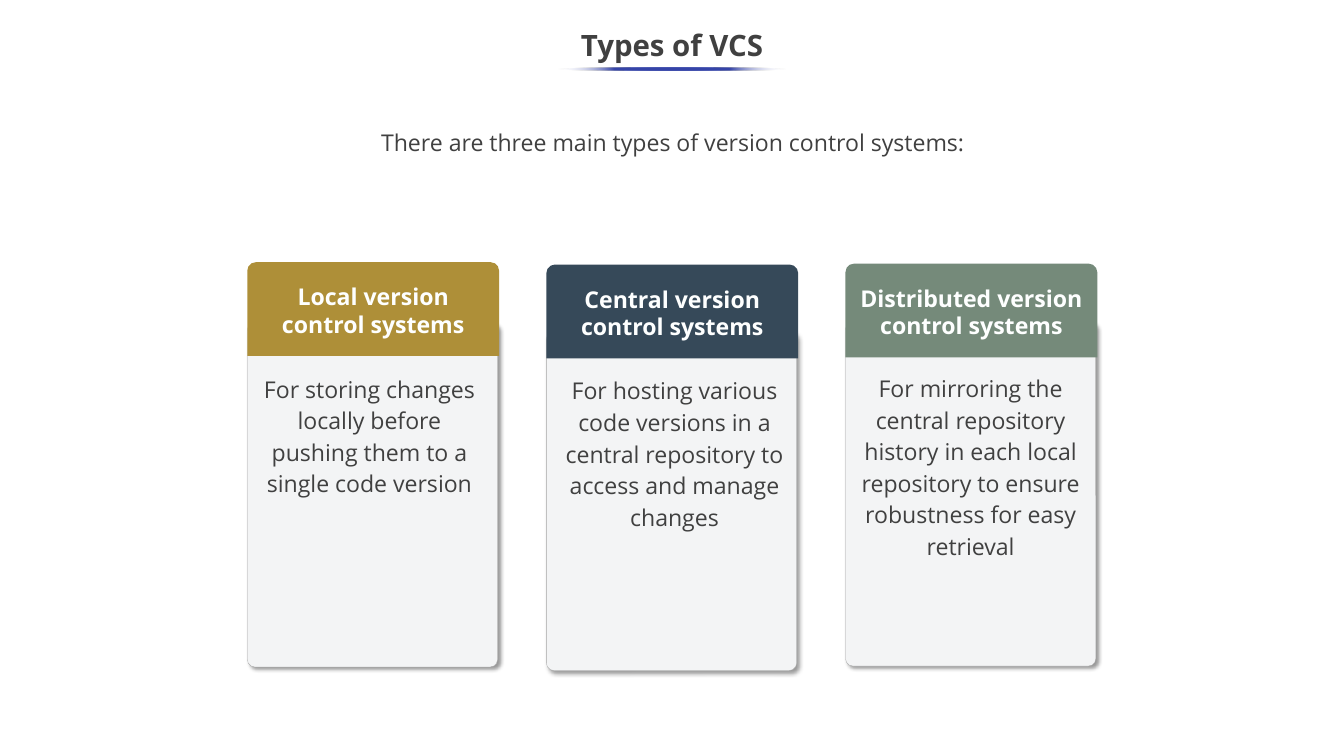
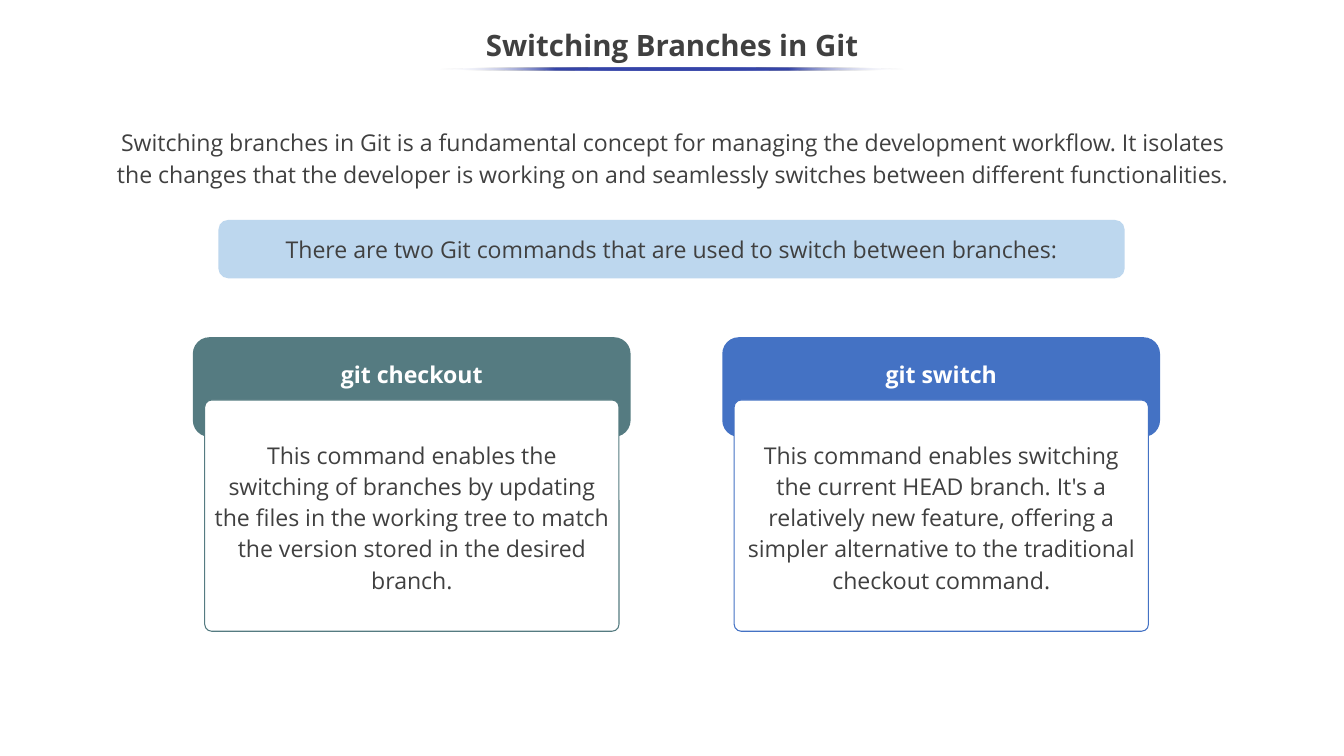
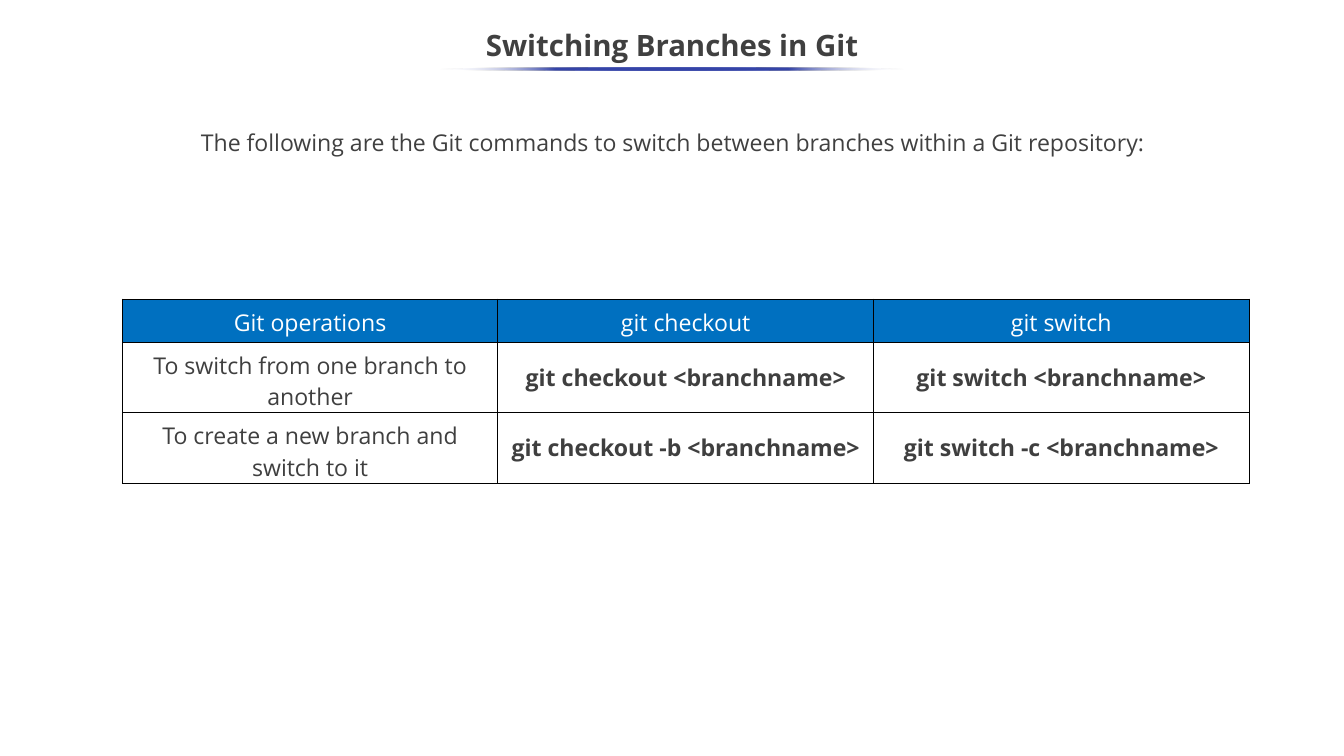
from pptx import Presentation
from pptx import util as u
from pptx.dml.color import RGBColor
from pptx.enum import shapes, text
from pptx.oxml import parse_xml
from pptx.oxml.ns import nsdecls

Cm, Pt = u.Cm, u.Pt
WIDTH, HEIGHT = 45.16, 25.4
INK, WHITE, ACCENT = "404040", "FFFFFF", "3645A9"
SHAPE, ANCHOR = shapes.MSO_SHAPE, text.MSO_ANCHOR
SIDES = ("left", "right", "top", "bottom")


def rgb(value):
    return RGBColor.from_string(value)


class Deck:
    """Holds the style and the current slide."""

    font = {"name": "Open Sans", "size": Pt(22), "bold": False}
    frame = {"word_wrap": True, "vertical_anchor": ANCHOR.TOP,
             "margin_left": Cm(0.25), "margin_right": Cm(0.25),
             "margin_top": Cm(0.13), "margin_bottom": Cm(0.13)}

    def __init__(self):
        self.prs = Presentation()
        self.prs.slide_width, self.prs.slide_height = Cm(WIDTH), Cm(HEIGHT)
        self.s = None

    def set_text(self, tf, words, color=INK, spacing=None, font=None):
        p = tf.paragraphs[0]
        p.text = words
        p.alignment = text.PP_ALIGN.CENTER
        if spacing:
            p.line_spacing = spacing
        for r in p.runs:
            for key, value in {**self.font, **(font or {})}.items():
                setattr(r.font, key, value)
            r.font.color.rgb = rgb(color)

    def label(self, sp, words, frame=None, **style):
        for key, value in {**self.frame, **(frame or {})}.items():
            setattr(sp.text_frame, key, value)
        self.set_text(sp.text_frame, words, **style)

    def box(self, x, y, w, h, words, **style):
        sp = self.s.shapes.add_textbox(Cm(x), Cm(y), Cm(w), Cm(h))
        self.label(sp, words, **style)

    def shape(self, kind, x, y, w, h, fill, line=None, adjust=None):
        sp = self.s.shapes.add_shape(kind, Cm(x), Cm(y), Cm(w), Cm(h))
        sp.shadow.inherit = False
        sp.fill.solid()
        sp.fill.fore_color.rgb = rgb(fill)
        if line:
            color, width = line
            sp.line.color.rgb = rgb(color)
            sp.line.width = Pt(width)
        else:
            sp.line.fill.background()
        if adjust is not None:
            sp.adjustments[0] = adjust
        return sp

    def underline(self, w):
        sp = self.shape(SHAPE.OVAL, (WIDTH - w) / 2, 2.26, w, 0.1, ACCENT)
        stops = "".join(
            f'<a:gs pos="{pos * 1000}"><a:srgbClr val="{color}">'
            f'<a:alpha val="{alpha * 1000}"/></a:srgbClr></a:gs>'
            for pos, color, alpha in [(0, WHITE, 0), (25, ACCENT, 100), (50, ACCENT, 100),
                                      (75, ACCENT, 100), (100, WHITE, 0)])
        gradient = parse_xml(f'<a:gradFill {nsdecls("a")} rotWithShape="1"><a:gsLst>{stops}'
                             '</a:gsLst><a:lin ang="10800000" scaled="0"/></a:gradFill>')
        solid = sp._element.spPr.find("{*}solidFill")
        solid.getparent().replace(solid, gradient)

    def shadow(self, sp):
        effects = sp._element.spPr.find("{*}effectLst")
        effects.append(parse_xml(
            f'<a:outerShdw {nsdecls("a")} blurRad="{int(Pt(4))}" dist="{int(Pt(3))}" '
            'dir="2700000" algn="tl" rotWithShape="0"><a:srgbClr val="000000">'
            '<a:alpha val="40000"/></a:srgbClr></a:outerShdw>'))

    def slide(self, title, intro, underline):
        self.s = self.prs.slides.add_slide(self.prs.slide_layouts[6])
        self.box(3.58, 4.19, 38.05, 2.51, intro, spacing=1.15,
                 frame={"margin_top": 0, "margin_bottom": 0})
        self.box(0, 0.64, WIDTH, 1.91, title, spacing=0.9,
                 font={"size": Pt(28), "bold": True},
                 frame={"vertical_anchor": ANCHOR.MIDDLE})
        self.underline(underline)

    def card(self, x, color, head, words, head_y, body_y, body_h, text_x, text_y, text_h):
        body = self.shape(SHAPE.ROUNDED_RECTANGLE, x, body_y, 8.41, body_h,
                          "F3F4F5", ("A6A6A6", 0.25), 0.03)
        self.shadow(body)
        sp = self.shape(SHAPE.ROUND_2_SAME_RECTANGLE, x, head_y, 8.46, 3.15, color, adjust=0.09)
        margins = {f"margin_{side}": Cm(0.1) for side in SIDES}
        self.label(sp, head, color="FEFFFF", font={"bold": True},
                   frame={"vertical_anchor": ANCHOR.MIDDLE, **margins})
        self.box(x + text_x, text_y, 8.05, text_h, words, spacing=1.14)

    def panel(self, x, color, head, words):
        sp = self.shape(SHAPE.ROUNDED_RECTANGLE, x, 11.33, 14.71, 3.35, color)
        self.label(sp, head, color=WHITE, font={"bold": True}, frame={"margin_top": Cm(0.61)})
        sp = self.shape(SHAPE.ROUNDED_RECTANGLE, x + 0.4, 13.44, 13.92, 7.77,
                        WHITE, (color, 1), 0.03)
        self.label(sp, words, spacing=1.13, frame={"vertical_anchor": ANCHOR.MIDDLE})

    def border(self, cell, color="000000"):
        tc_pr = cell._tc.get_or_add_tcPr()
        for i, side in enumerate(("lnL", "lnR", "lnT", "lnB")):
            tc_pr.insert(i, parse_xml(
                f'<a:{side} {nsdecls("a")} w="{int(Pt(1))}"><a:solidFill>'
                f'<a:srgbClr val="{color}"/></a:solidFill></a:{side}>'))

    def table(self, x, y, col_w, row_heights, rows):
        columns = len(rows[0])
        table = self.s.shapes.add_table(len(rows), columns, Cm(x), Cm(y), Cm(col_w * columns),
                                        Cm(sum(row_heights))).table
        table.first_row = table.horz_banding = False
        for column in table.columns:
            column.width = Cm(col_w)
        for i, (row, height) in enumerate(zip(rows, row_heights)):
            table.rows[i].height = Cm(height)
            for j, words in enumerate(row):
                cell = table.cell(i, j)
                cell.fill.solid()
                cell.fill.fore_color.rgb = rgb(WHITE if i else "0070C0")
                cell.vertical_anchor = ANCHOR.MIDDLE if i else ANCHOR.TOP
                for side in SIDES:
                    setattr(cell, f"margin_{side}", Cm(0.25))
                self.set_text(cell.text_frame, words, "3F3F3F" if i else WHITE,
                              font={"bold": i > 0 and j > 0})
                self.border(cell)


def main():
    deck = Deck()

    # Types of version control: three cards
    deck.slide("Types of VCS", "There are three main types of version control systems:", 7.67)
    cards = [
        ("AE8F38", "Local version\vcontrol systems",
         "For storing changes locally before pushing them to a single code version",
         8.81, 10.85, 11.56, 0.08, 12.34, 4.47),
        ("364959", "Central version control systems",
         "For hosting various code versions in a central repository to access and manage changes",
         8.89, 11.15, 11.38, 0.28, 12.4, 5.56),
        ("758A7A", "Distributed version control systems",
         "For mirroring the central repository history in each local repository "
         "to ensure robustness for easy retrieval",
         8.86, 10.82, 11.56, 0.18, 12.32, 6.63),
    ]
    for i, card in enumerate(cards):
        deck.card(8.31 + 10.05 * i, *card)

    # The two commands: band and panels
    switching = "Switching Branches in Git"
    deck.slide(switching,
               "Switching branches in Git is a fundamental concept for managing the development "
               "workflow. It isolates the changes that the developer is working on and seamlessly "
               "switches between different functionalities.", 15.65)
    band = deck.shape(SHAPE.ROUNDED_RECTANGLE, 7.34, 7.39, 30.45, 1.96, "BDD7EE")
    deck.label(band, "There are two Git commands that are used to switch between branches:",
               frame={"vertical_anchor": ANCHOR.MIDDLE})
    panels = [
        ("557B81", "git checkout",
         "This command enables the switching of branches by updating the files in the working "
         "tree to match the version stored in the desired branch."),
        ("4472C4", "git switch",
         "This command enables switching the current HEAD branch. It's a relatively new feature, "
         "offering a simpler alternative to the traditional checkout command."),
    ]
    for i, panel in enumerate(panels):
        deck.panel(6.48 + 17.79 * i, *panel)

    # Command table
    deck.slide(switching, "The following are the Git commands to switch between branches "
               "within a Git repository:", 15.65)
    deck.table(4.11, 10.05, 12.62, [1.45, 2.36, 2.36], [
        ["Git operations", "git checkout", "git switch"],
        ["To switch from one branch to another",
         "git checkout <branchname>", "git switch <branchname>"],
        ["To create a new branch and switch to it",
         "git checkout -b <branchname>", "git switch -c <branchname>"],
    ])

    deck.prs.save("out.pptx")


if __name__ == "__main__":
    main()
